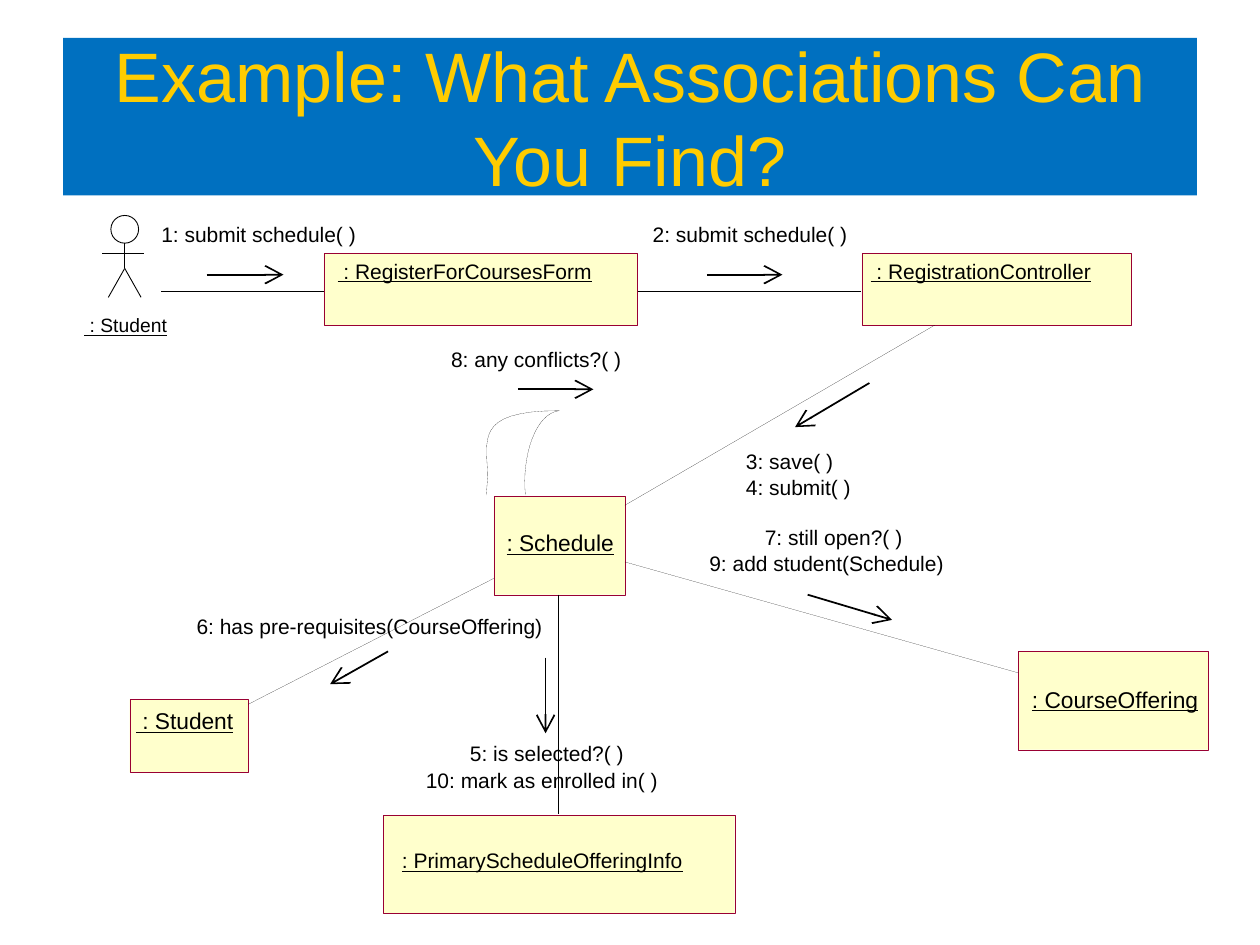
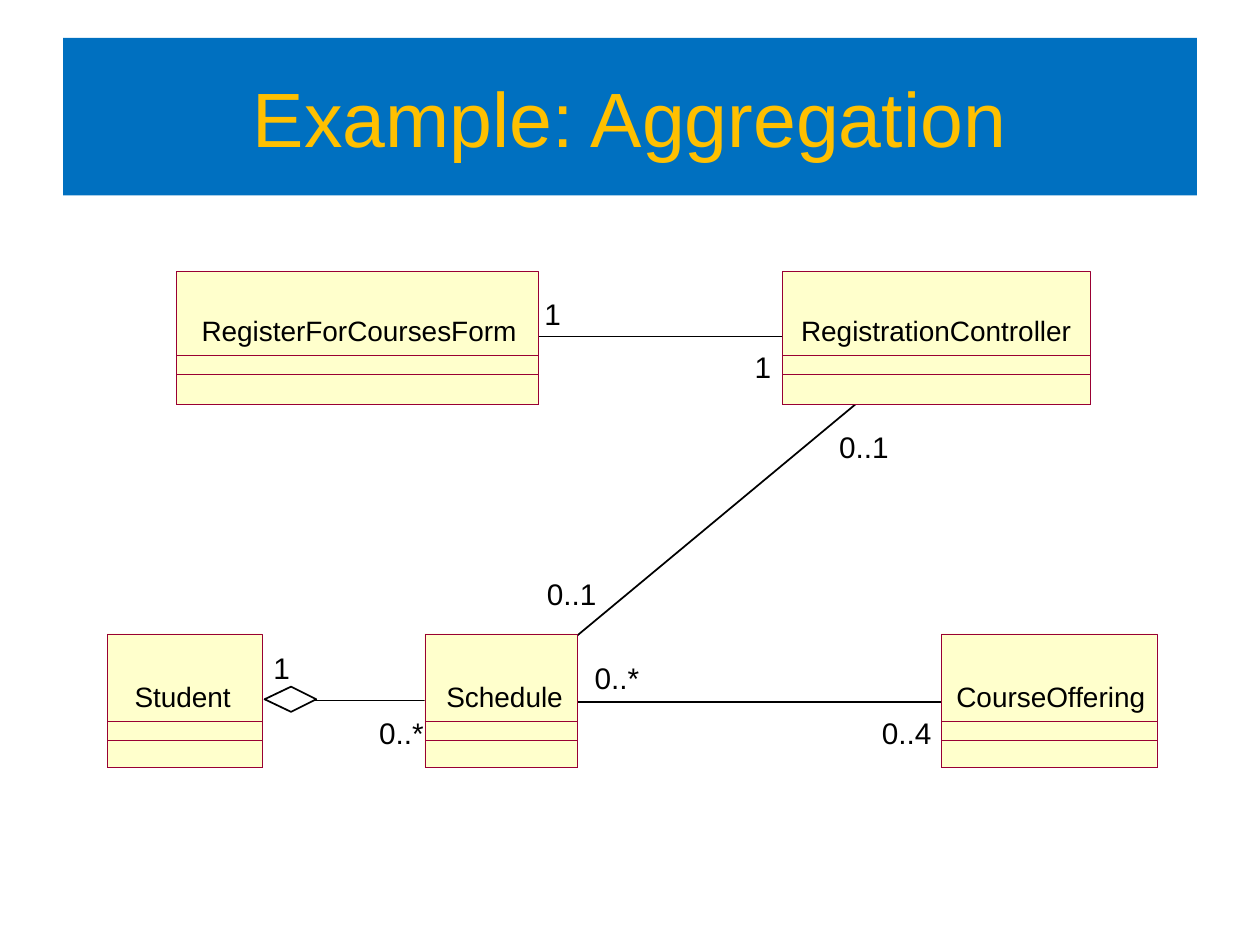
import pptx
import pptx.util
from lxml import etree
from pptx.dml.color import RGBColor
from pptx.enum.shapes import MSO_CONNECTOR, MSO_SHAPE
from pptx.enum.text import MSO_ANCHOR, MSO_AUTO_SIZE, PP_ALIGN
from pptx.oxml.ns import qn
from pptx.util import Inches

FONT = "Arial"
HAIRLINE = 0.05
COLORS = {
    "band": "0070C0",
    "yellow": "FFCC00",
    "gold": "FFC000",
    "box": "FFFFCC",
    "border": "990033",
    "ink": "000000",
}


def rgb(name):
    return RGBColor.from_string(COLORS[name])


def bezier(p0, p1, p2, p3, steps=16):
    """Points along a cubic curve, from p0 to p3."""
    points = []
    for i in range(steps + 1):
        t = i / steps
        weights = ((1 - t) ** 3, 3 * t * (1 - t) ** 2, 3 * t * t * (1 - t), t ** 3)
        points.append(tuple(sum(w * p[axis] for w, p in zip(weights, (p0, p1, p2, p3)))
                            for axis in (0, 1)))
    return points


class Deck:
    def __init__(self):
        self.prs = pptx.Presentation()
        self.prs.slide_width = Inches(10)
        self.prs.slide_height = Inches(7.5)
        self.s = None

    def slide(self, title, size, color):
        """Start a slide with its title band."""
        self.s = self.prs.slides.add_slide(self.prs.slide_layouts[5])
        sp = self.s.shapes.title
        sp.left, sp.top, sp.width, sp.height = map(Inches, (0.5, 0.3, 9, 1.25))
        sp.fill.solid()
        sp.fill.fore_color.rgb = rgb("band")
        tf = sp.text_frame
        tf.text = title
        tf.auto_size = MSO_AUTO_SIZE.NONE
        tf.vertical_anchor = MSO_ANCHOR.MIDDLE
        p = tf.paragraphs[0]
        p.alignment = PP_ALIGN.CENTER
        self.font(p, size, color)

    def font(self, p, size, color="ink", underline=None):
        p.font.name = FONT
        p.font.size = pptx.util.Pt(size)
        p.font.color.rgb = rgb(color)
        p.font.underline = underline

    def outline(self, sp, color, width, fill=None):
        sp.shadow.inherit = False
        if fill:
            sp.fill.solid()
            sp.fill.fore_color.rgb = rgb(fill)
        else:
            sp.fill.background()
        sp.line.color.rgb = rgb(color)
        sp.line.width = pptx.util.Pt(width)

    def shape(self, x, y, w, h, kind=MSO_SHAPE.RECTANGLE, color="border", width=HAIRLINE,
              fill=None):
        sp = self.s.shapes.add_shape(kind, *map(Inches, (x, y, w, h)))
        self.outline(sp, color, width, fill)

    def text(self, text, x, y, w, size=12, underline=None, align=PP_ALIGN.LEFT):
        # Some slack in the width keeps every label on one line
        slack = 0.1
        if align == PP_ALIGN.CENTER:
            x -= slack / 2
        box = self.s.shapes.add_textbox(*map(Inches, (x, y, w + slack, size / 60)))
        tf = box.text_frame
        tf.margin_left = tf.margin_right = tf.margin_top = tf.margin_bottom = 0
        tf.word_wrap = True
        tf.auto_size = MSO_AUTO_SIZE.NONE
        tf.text = text
        p = tf.paragraphs[0]
        p.alignment = align
        self.font(p, size, underline=underline)

    def line(self, x1, y1, x2, y2, width=HAIRLINE, arrow=False):
        cx = self.s.shapes.add_connector(MSO_CONNECTOR.STRAIGHT, *map(Inches, (x1, y1, x2, y2)))
        cx.line.color.rgb = rgb("ink")
        cx.line.width = pptx.util.Pt(width)
        if arrow:
            etree.SubElement(cx.line._get_or_add_ln(), qn("a:tailEnd"),
                             type="arrow", w="lg", len="lg")
        etree.SubElement(cx._element.spPr, qn("a:effectLst"))

    def free(self, points, width=HAIRLINE, close=False):
        points = [(Inches(x), Inches(y)) for x, y in points]
        builder = self.s.shapes.build_freeform(*points[0])
        builder.add_line_segments(points[1:], close=close)
        self.outline(builder.convert_to_shape(), "ink", width)

    def instance(self, frame, text, x, y, w, size):
        """Object box with an underlined name."""
        self.shape(*frame, fill="box")
        self.text(text, x, y, w, size, underline=True)

    def uml_class(self, name, x, y, w, text_x, text_y, text_w, attributes):
        """Class box with attribute and operation compartments."""
        height, attribute_row = 1.06, 0.15
        operations = attributes + attribute_row
        self.shape(x, y, w, height, fill="box")
        self.text(name, text_x, text_y, text_w, 16, align=PP_ALIGN.CENTER)
        for offset in (attributes, operations):
            self.shape(x, y + offset, w, height - offset)


def collaboration(deck):
    deck.slide("Example: What Associations Can You Find?", 40, "yellow")

    # Objects
    for item in (
        ((8.08, 5.17, 1.51, 0.78), ": CourseOffering", 8.19, 5.44, 1.32, 13),
        ((6.84, 2.01, 2.14, 0.57), " : RegistrationController", 6.91, 2.05, 1.75, 12),
        ((3.92, 3.94, 1.04, 0.78), ": Schedule", 4.02, 4.2, 0.85, 13),
        ((1.03, 5.55, 0.94, 0.58), " : Student", 1.08, 5.61, 0.77, 13),
        ((3.04, 6.47, 2.79, 0.78), ": PrimaryScheduleOfferingInfo", 3.19, 6.73, 2.23, 12),
        ((2.57, 2.01, 2.49, 0.57), " : RegisterForCoursesForm", 2.68, 2.05, 2.02, 12),
    ):
        deck.instance(*item)

    # Links between objects
    for link in (
        (1.28, 2.31, 2.57, 2.31),
        (5.06, 2.31, 6.83, 2.31),
        (7.42, 2.58, 4.96, 4.01),
        (4.96, 4.46, 8.08, 5.34),
        (4.43, 4.72, 4.43, 6.46),
        (1.97, 5.59, 3.92, 4.59),
    ):
        deck.line(*link)

    # Self link of the schedule
    tip = (4.44, 3.26)
    deck.free(bezier((4.17, 3.93), (4.14, 3.62), (4.25, 3.28), tip)
              + bezier(tip, (3.75, 3.26), (3.87, 3.5), (3.87, 3.79))
              + [(3.86, 3.93)])

    # Messages
    for message in (
        ("1: submit schedule( )", 1.28, 1.76, 1.55),
        ("2: submit schedule( )", 5.18, 1.76, 1.55),
        ("3: save( )", 5.92, 3.56, 0.7),
        ("4: submit( )", 5.92, 3.77, 0.84),
        ("5: is selected?( )", 3.73, 5.88, 1.22),
        ("6: has pre-requisites(CourseOffering)", 1.56, 4.87, 2.75),
        ("7: still open?( )", 6.07, 4.16, 1.09),
        ("8: any conflicts?( )", 3.58, 2.75, 1.35),
        ("9: add student(Schedule)", 5.63, 4.37, 1.86),
        ("10: mark as enrolled in( )", 3.38, 6.09, 1.84),
    ):
        deck.text(*message)

    # Message directions
    for arrow in (
        (1.64, 2.18, 2.25, 2.18),
        (5.61, 2.18, 6.21, 2.18),
        (4.11, 3.09, 4.71, 3.09),
        (4.33, 5.22, 4.33, 5.82),
        (3.08, 5.17, 2.62, 5.43),
        (6.9, 3.04, 6.31, 3.39),
        (6.41, 4.72, 7.08, 4.92),
    ):
        deck.line(*arrow, width=1, arrow=True)

    # Student actor
    deck.shape(0.88, 1.71, 0.22, 0.22, MSO_SHAPE.OVAL, "ink", 0.5)
    for limb in (
        (0.99, 1.93, 0.99, 2.13),
        (0.81, 2.01, 1.14, 2.01),
        (0.99, 2.13, 1.12, 2.36),
        (0.99, 2.13, 0.86, 2.36),
    ):
        deck.line(*limb, width=0.5)
    deck.text(" : Student", 0.67, 2.49, 0.66, 11, underline=True)


def aggregation(deck):
    deck.slide("Example: Aggregation", 44, "gold")

    # Associations and the aggregation diamond
    for link in (
        (4.16, 2.67, 6.21, 2.67),
        (7.62, 5.57, 4.58, 5.57),
        (2.5, 5.56, 3.4, 5.56),
        (4.43, 5.17, 6.8, 3.2),
    ):
        deck.line(*link, width=1)
    deck.free([(2.1, 5.55), (2.31, 5.65), (2.51, 5.55), (2.31, 5.45)], width=1, close=True)

    # Classes: one row above, one below
    rows = (
        (2.15, 2.49, 0.67, (
            ("RegisterForCoursesForm", 1.4, 2.87, 1.6, 2.5),
            ("RegistrationController", 6.21, 2.44, 6.36, 2.14),
        )),
        (5.03, 5.39, 0.69, (
            ("Student", 0.85, 1.23, 1.07, 0.76),
            ("Schedule", 3.37, 1.21, 3.54, 0.93),
            ("CourseOffering", 7.47, 1.71, 7.59, 1.5),
        )),
    )
    for y, text_y, attributes, classes in rows:
        for name, x, w, text_x, text_w in classes:
            deck.uml_class(name, x, y, w, text_x, text_y, text_w, attributes)

    # Multiplicities
    for label in (
        ("1", 4.32, 2.35, 0.13),
        ("1", 5.99, 2.77, 0.13),
        ("0..1", 6.66, 3.4, 0.4),
        ("0..1", 4.34, 4.57, 0.4),
        ("1", 2.17, 5.16, 0.13),
        ("0..*", 3.01, 5.67, 0.36),
        ("0..*", 4.72, 5.24, 0.36),
        ("0..4", 7, 5.67, 0.4),
    ):
        deck.text(*label, size=17)


def main():
    deck = Deck()
    collaboration(deck)
    aggregation(deck)
    deck.prs.save("out.pptx")


if __name__ == "__main__":
    main()
